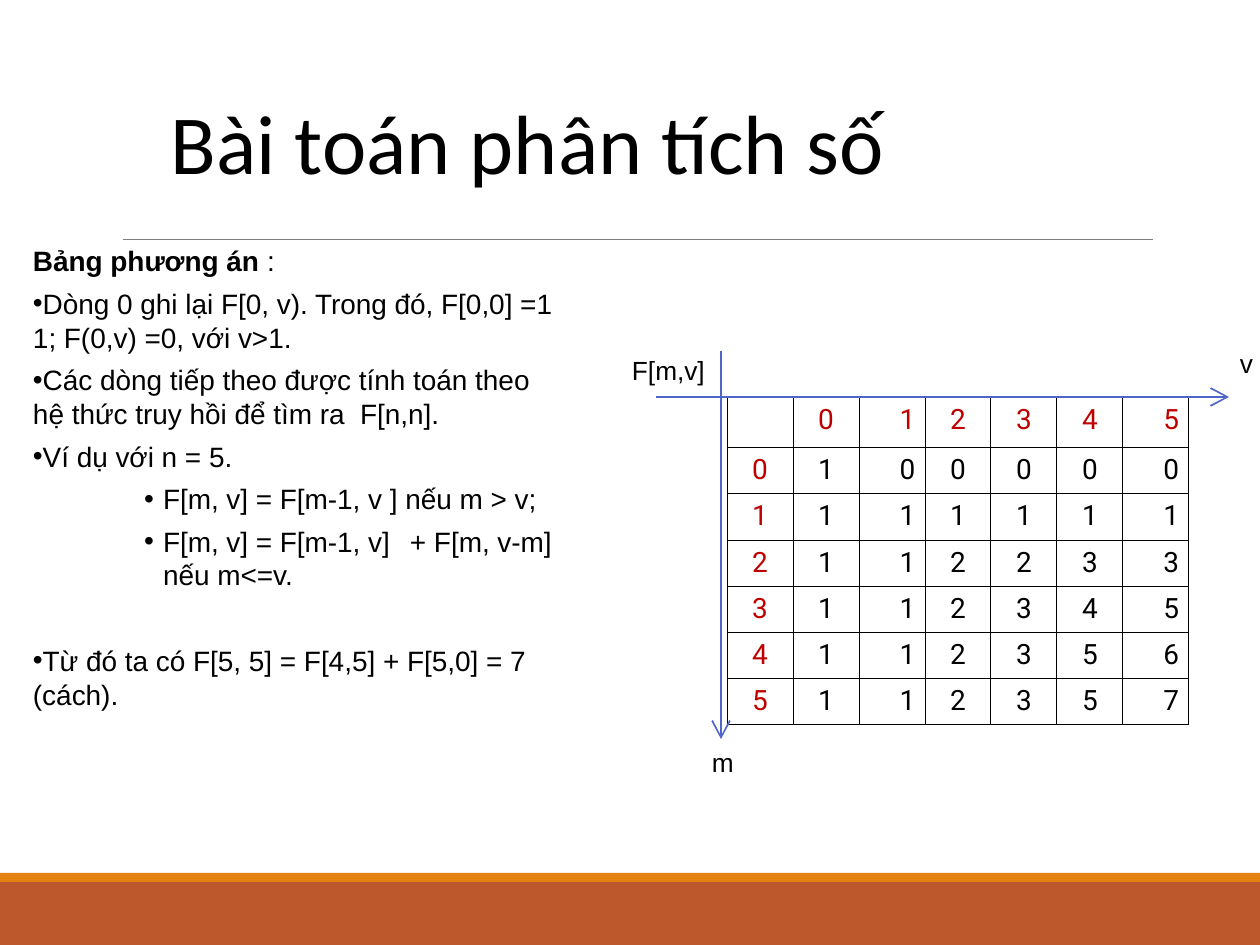
"""Build the slide on the number partition problem with its table of F[m,v]."""
from typing import NamedTuple

from lxml import etree
from pptx import Presentation
from pptx import util as u
from pptx.dml.color import RGBColor
from pptx.enum import shapes, text
from pptx.oxml import ns

PX = 914400 // 126
INK = {"black": "000000", "red": "C00000", "blue": "4D66C7",
       "gray": "7F7F7F", "rust": "BD582C", "gold": "E48312"}
GRID = ["012345", "0100000", "1111111", "2112233", "3112345", "4112356", "5112357"]
LEAD = [2.6, 2.9, 2.9, 2.6, 2.6, 2.6, 2.9]


class Band(NamedTuple):
    y: int
    h: int
    ink: str


class Line(NamedTuple):
    x: int
    y: int
    x2: int
    y2: int
    ink: str
    pt: float
    head: bool


class Note(NamedTuple):
    words: str
    x: int
    y: int
    w: int
    h: int


class Item(NamedTuple):
    runs: list[tuple[str, bool]]
    gap: float = 5.2
    dot: bool = True
    deep: bool = False


BANDS = [Band(882, 63, "rust"), Band(873, 9, "gold")]
LINES = [Line(123, 239, 1153, 239, "gray", 0.5, False),
         Line(656, 397, 1229, 397, "blue", 1, True),
         Line(721, 351, 721, 739, "blue", 1, True)]
NOTES = [Note("F[m,v]", 632, 354, 80, 32), Note("m", 712, 746, 26, 32),
         Note("v", 1240, 347, 18, 32)]
ITEMS = [
    Item([("Bảng phương án ", True), (":", False)], 0, False),
    Item([("Dòng 0 ghi lại F[0, v). Trong đó, F[0,0] =1 1; F(0,v) =0, với v>1.", False)]),
    Item([("Các dòng tiếp theo được tính toán theo hệ thức truy hồi để tìm ra  F[n,n].", False)]),
    Item([("Ví dụ với n = 5.", False)]),
    Item([("F[m, v] = F[m-1, v ] nếu m > v;", False)], deep=True),
    Item([("F[m, v] = F[m-1, v]\t+ F[m, v-m] nếu m<=v.", False)], deep=True),
    Item([("Từ đó ta có F[5, 5] = F[4,5] + F[5,0] = 7 (cách).", False)], 29.7),
]


def px(*nums: int) -> list[u.Emu]:
    """Turn px lengths into EMU."""
    return [u.Emu(n * PX) for n in nums]


def tint(ink: str) -> RGBColor:
    """Look up a colour by name."""
    return RGBColor.from_string(INK[ink])


def sub(node, tag: str, **attrs: str):
    """Append a DrawingML child with attributes."""
    return etree.SubElement(node, ns.qn(f"a:{tag}"), attrs)


def add_run(para, words: str, size: float, face: str = "Arial",
            ink: str = "black", bold: bool = False) -> None:
    """Add one styled run to a paragraph."""
    run = para.add_run()
    run.text = words
    run.font.size, run.font.name, run.font.bold = u.Pt(size), face, bold
    run.font.color.rgb = tint(ink)


def add_box(slide, x: int, y: int, w: int, h: int, pad: tuple[int, int] = (0, 0)):
    """Add a wrapping text box and return its frame."""
    frame = slide.shapes.add_textbox(*px(x, y, w, h)).text_frame
    frame.word_wrap = True
    frame.margin_left = frame.margin_right = px(pad[0])[0]
    frame.margin_top = frame.margin_bottom = px(pad[1])[0]
    return frame


def add_band(slide, band: Band) -> None:
    """Draw a full-width footer band."""
    shape = slide.shapes.add_shape(shapes.MSO_SHAPE.RECTANGLE, *px(0, band.y, 1260, band.h))
    shape.shadow.inherit = False
    shape.fill.solid()
    shape.fill.fore_color.rgb = tint(band.ink)
    shape.line.fill.background()


def add_line(slide, line: Line) -> None:
    """Draw a straight rule or an axis with an open arrowhead."""
    wire = slide.shapes.add_connector(
        shapes.MSO_CONNECTOR.STRAIGHT, *px(line.x, line.y, line.x2, line.y2))
    wire.line.width = u.Pt(line.pt)
    wire.line.color.rgb = tint(line.ink)
    if line.head:
        sub(wire.line._get_or_add_ln(), "tailEnd", type="arrow", w="lg", len="lg")
    sub(wire._element.spPr, "effectLst")


def add_item(para, item: Item) -> None:
    """Fill one body paragraph with its indent, bullet and runs."""
    para.space_before = u.Pt(item.gap)
    para.level = int(item.deep)
    props = para._p.get_or_add_pPr()
    left, hang = (131, -19) if item.deep else (1, 0)
    props.set("marL", str(left * PX))
    props.set("indent", str(hang * PX))
    if item.dot:
        sub(sub(props, "buClr"), "srgbClr", val=INK["black"])
        sub(props, "buFont", typeface="Arial")
        sub(props, "buChar", char="•")
    if item.deep:
        tabs = sub(props, "tabLst")
        for inch in range(2, 6):
            sub(tabs, "tab", pos=str(inch * 914400), algn="l")
    for words, bold in item.runs:
        add_run(para, words, 16, bold=bold)


def add_cell(cell, words: str, row: int, col: int) -> None:
    """Write one table cell with thin borders."""
    props = cell._tc.get_or_add_tcPr()
    for side in ("lnL", "lnR", "lnT", "lnB"):
        edge = sub(props, side, w=str(u.Pt(0.5)))
        sub(sub(edge, "solidFill"), "srgbClr", val=INK["black"])
    cell.fill.background()
    if not words.strip():
        return
    para = cell.text_frame.paragraphs[0]
    para.space_before = u.Pt(LEAD[row])
    if col in (2, 6):
        para._p.get_or_add_pPr().set("marL", str(28 * PX))
    else:
        para.alignment = text.PP_ALIGN.CENTER
    add_run(para, words, 16, "Roboto", "black" if row and col else "red")


def add_grid(slide) -> None:
    """Draw the table of F[m,v]."""
    size = len(GRID)
    table = slide.shapes.add_table(size, size, *px(727, 397, 463, 309)).table
    table.first_row = table.horz_banding = False
    for col in table.columns:
        col.width = px(66)[0]
    for r, row in enumerate(table.rows):
        row.height = px(46 if r else 34)[0]
        for c, words in enumerate(GRID[r].rjust(size)):
            add_cell(table.cell(r, c), words, r, c)


def main() -> None:
    """Build and save the slide."""
    deck = Presentation()
    deck.slide_width, deck.slide_height = px(1260, 945)
    slide = deck.slides.add_slide(deck.slide_layouts[6])
    for band in BANDS:
        add_band(slide, band)
    body = add_box(slide, 32, 244, 525, 467)
    for i, item in enumerate(ITEMS):
        add_item(body.add_paragraph() if i else body.paragraphs[0], item)
    for note in NOTES:
        add_run(add_box(slide, *note[1:]).paragraphs[0], note.words, 15)
    add_grid(slide)
    for line in LINES:
        add_line(slide, line)
    title = add_box(slide, 158, 96, 874, 105, (13, 6))
    title.vertical_anchor = text.MSO_ANCHOR.MIDDLE
    title.paragraphs[0].line_spacing = 0.85
    add_run(title.paragraphs[0], "Bài toán phân tích số", 48, "Calibri")
    deck.save("out.pptx")


if __name__ == "__main__":
    main()
